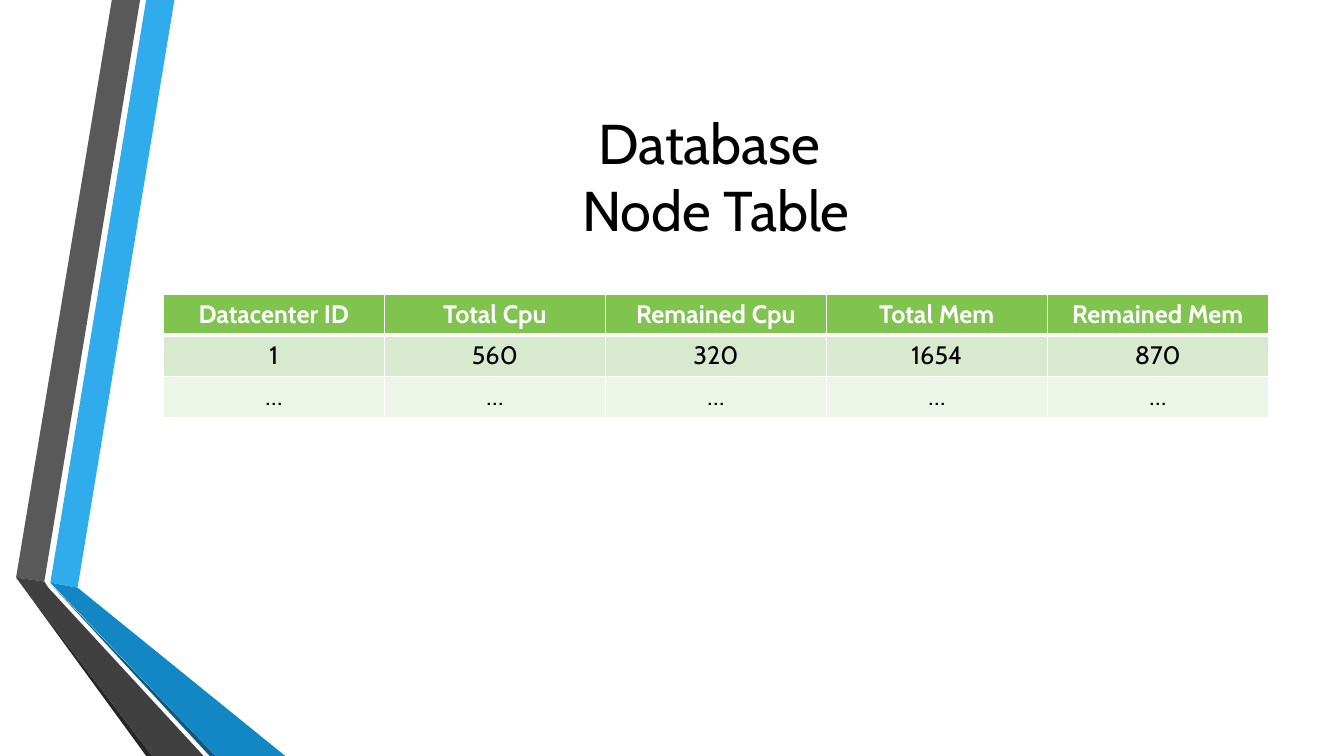
from lxml import etree
from pptx import Presentation
from pptx import util as u
from pptx.dml import color
from pptx.enum import text
from pptx.oxml import ns

FONT = "Cabin"
COLORS = {
    "blue": "30ACEC", "blue_mid": "1287C3", "blue_dark": "0C5A82",
    "gray": "595959", "gray_mid": "404040", "gray_dark": "262626",
    "black": "000000", "white": "FFFFFF",
    "header": "80C34F", "band_odd": "D8E9D0", "band_even": "EDF5E9",
}
RIBBONS = [
    ("blue", [(0.5, 5.78), (0.77, 5.83), (1.73, 0), (1.45, 0)]),
    ("gray", [(1.39, 0), (1.11, 0), (0.16, 5.73), (0.44, 5.77)]),
    ("gray_dark", [(0.16, 5.73), (1.45, 7.5), (1.51, 7.5)]),
    ("blue_dark", [(0.5, 5.79), (2.08, 7.5), (2.14, 7.5)]),
    ("blue_mid", [(0.5, 5.78), (2.14, 7.5), (2.83, 7.5), (0.77, 5.83)]),
    ("gray_mid", [(0.16, 5.73), (1.51, 7.5), (2.02, 7.5), (0.48, 5.83), (0.44, 5.77)]),
]
NODES = [
    ["Datacenter ID", "Total Cpu", "Remained Cpu", "Total Mem", "Remained Mem"],
    ["1", "560", "320", "1654", "870"],
    ["…"] * 5,
]


def rgb(name):
    """Return the named colour."""
    return color.RGBColor.from_string(COLORS[name])


def style_paragraph(para, size, fill, bold=False):
    """Centre a paragraph and set its font."""
    para.alignment = text.PP_ALIGN.CENTER
    para.font.name = FONT
    para.font.size = u.Pt(size)
    para.font.bold = bold
    para.font.color.rgb = rgb(fill)


def add_ribbons(page, left, top):
    """Draw the folded ribbons from the given corner."""
    for fill, points in RIBBONS:
        corners = [(u.Inches(left + x), u.Inches(top + y)) for x, y in points]
        builder = page.shapes.build_freeform(*corners[0])
        builder.add_line_segments(corners[1:], close=True)
        ribbon = builder.convert_to_shape()
        ribbon.shadow.inherit = False
        ribbon.fill.solid()
        ribbon.fill.fore_color.rgb = rgb(fill)
        ribbon.line.fill.background()


def add_title(page, left, top, width, height):
    """Place the two-line heading in the middle of its box."""
    box = page.shapes.add_textbox(*map(u.Inches, (left, top, width, height)))
    frame = box.text_frame
    frame.word_wrap = True
    frame.vertical_anchor = text.MSO_ANCHOR.MIDDLE
    frame.text = "Database \vNode Table"
    style_paragraph(frame.paragraphs[0], 40, "black")


def add_borders(cell, bottom):
    """Give a cell white borders, with its own bottom width in points."""
    properties = cell._tc.get_or_add_tcPr()
    for side, width in (("L", 1), ("R", 1), ("T", 1), ("B", bottom)):
        line = etree.SubElement(properties, ns.qn(f"a:ln{side}"), w=str(u.Pt(width)))
        fill = etree.SubElement(line, ns.qn("a:solidFill"))
        etree.SubElement(fill, ns.qn("a:srgbClr"), val=COLORS["white"])


def add_node_table(page, left, top, width, height):
    """Fill the box with the node table."""
    frame = page.shapes.add_table(
        len(NODES), len(NODES[0]), *map(u.Inches, (left, top, width, height)))
    table = frame.table
    for row, (values, fill) in enumerate(zip(NODES, ("header", "band_odd", "band_even"))):
        is_header = row == 0
        for column, value in enumerate(values):
            cell = table.cell(row, column)
            cell.text = value
            style_paragraph(cell.text_frame.paragraphs[0], 18,
                            "white" if is_header else "black", is_header)
            add_borders(cell, 3 if is_header else 1)
            cell.fill.solid()
            cell.fill.fore_color.rgb = rgb(fill)


def main():
    """Build and save the deck."""
    deck = Presentation()
    deck.slide_width, deck.slide_height = u.Inches(13.33), u.Inches(7.5)
    page = deck.slides.add_slide(deck.slide_layouts[6])
    add_ribbons(page, 0, 0)
    add_title(page, 1.62, 0.78, 10.96, 1.92)
    add_node_table(page, 1.62, 2.92, 10.96, 1.22)
    deck.save("out.pptx")


if __name__ == "__main__":
    main()
